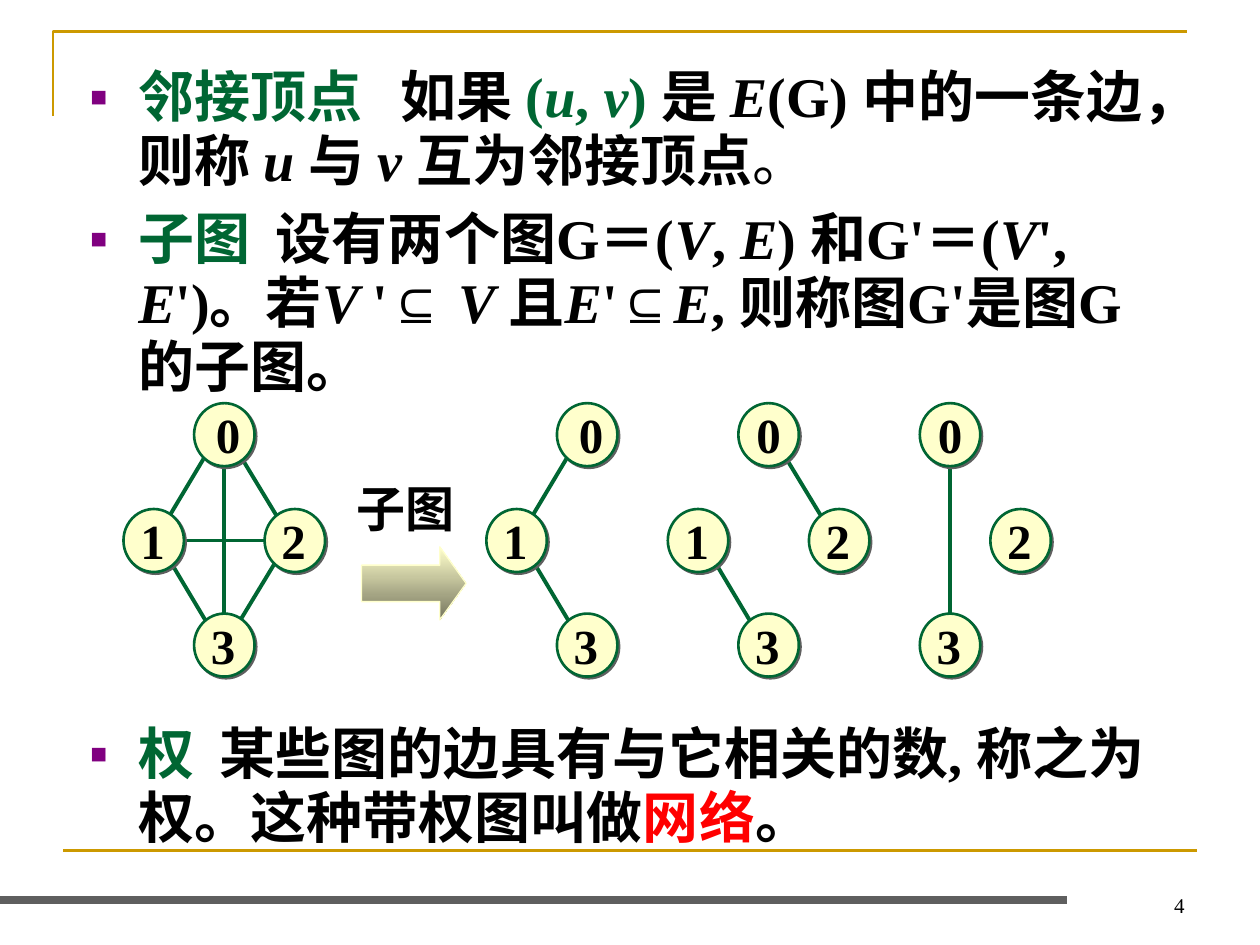
from typing import NamedTuple

import lxml.etree
import pptx
import pptx.dml.color
import pptx.enum.dml
import pptx.enum.shapes
import pptx.enum.text
import pptx.oxml.ns
import pptx.util

RGB = pptx.dml.color.RGBColor
GOLD = RGB(0xCC, 0x99, 0x00)
GRAY = RGB(0x5F, 0x5F, 0x5F)
GREEN = RGB(0x00, 0x66, 0x33)
CREAM = RGB(0xFF, 0xFF, 0xCC)
OLIVE = RGB(0x76, 0x76, 0x5E)
PURPLE = RGB(0x80, 0x00, 0x80)
RED = RGB(0xFF, 0x00, 0x00)
BLACK = RGB(0x00, 0x00, 0x00)

SERIF = "Times New Roman"
SANS = "Arial"
COLUMNS, ROWS = 100, 75
CELL = pptx.util.Inches(0.1)
MIDDLE_ROW = 42.9
FIRST_CENTER, CENTER_STEP = 17.8, 14.4
NODE_WIDTH, NODE_HEIGHT = 4.8, 5
LABEL_WIDTH, LABEL_HEIGHT = 3.9, 5.7
LABEL_SHIFT = -0.1

NODES = {0: (0, -8.4), 1: (-5.6, 0), 2: (5.6, 0), 3: (0, 8.3)}
EDGES = {
    (2, 3): (4.8, 0.5, 0.8, 7.1),
    (0, 1): (-0.8, -7.9, -4.8, -1.2),
    (1, 3): (-4.8, 0.8, -0.8, 7.5),
    (0, 2): (0.8, -7.5, 4.8, -0.9),
    (1, 2): (-4, 0, 4.8, 0),
    (0, 3): (0, -6.7, 0, 8),
}


class Span(NamedTuple):
    text: str
    color: RGB = BLACK
    italic: bool = False
    bold: bool = True
    font: str = SERIF


class Entry(NamedTuple):
    space_before: int
    spans: list[Span]


class Graph(NamedTuple):
    step: int
    nodes: list[int]
    edges: list[tuple[int, int]]
    zero_shift: float


def var(text: str, color: RGB = BLACK) -> Span:
    return Span(text, color, italic=True)


SUBSET = Span("⊆", font=SANS)
ENTRIES = [
    Entry(8, [
        Span("邻接顶点", GREEN), Span("   如果 "), Span("(", GREEN), var("u", GREEN),
        Span(", ", GREEN), var("v", GREEN), Span(") ", GREEN), Span("是 "), var("E"),
        Span("(G) 中的一条边，则称 "), var("u "), Span("与 "), var("v "),
        Span("互为邻接顶点"), Span("。", bold=False),
    ]),
    Entry(8, [
        Span("子图", GREEN), Span("  设有两个图G＝("), var("V"), Span(", "), var("E"),
        Span(") 和G'＝("), var("V"), Span("', "), var("E"), Span("')。若"), var("V "),
        Span("'"), SUBSET, var(" V "), Span("且"), var("E"), Span("'"), SUBSET,
        var("E"), Span(", 则称图G'是图G的子图。"),
    ]),
    Entry(185, [
        Span("权 ", GREEN), Span(" 某些图的边具有与它相关的数, 称之为权。这种带权图叫做"),
        Span("网络", RED), Span("。"),
    ]),
]
GRAPHS = [
    Graph(0, [1, 2, 0, 3], list(EDGES), 0.4),
    Graph(2, [1, 0, 3], [(0, 1), (1, 3)], 0.4),
    Graph(3, [1, 2, 0, 3], [(1, 3), (0, 2)], 0.1),
    Graph(4, [2, 0, 3], [(0, 3)], 0.1),
]


def cells(count: float) -> pptx.util.Emu:
    return pptx.util.Emu(round(count * CELL))


def add_xml(parent, tag: str, **attributes: str):
    return lxml.etree.SubElement(parent, pptx.oxml.ns.qn(tag), attributes)


def style_run(run, span: Span, size: float) -> None:
    run.font.size = pptx.util.Pt(size)
    run.font.name = span.font
    run.font.bold = span.bold
    run.font.italic = span.italic
    run.font.color.rgb = span.color


def draw_line(shapes, ends: tuple, color: RGB, width: float) -> None:
    line = shapes.add_connector(
        pptx.enum.shapes.MSO_CONNECTOR.STRAIGHT, *map(cells, ends))
    line.line.color.rgb = color
    line.line.width = pptx.util.Pt(width)
    add_xml(line._element.spPr, "a:effectLst")


def draw_label(shapes, span: Span, box: tuple, size: float, wrap: bool = True):
    frame = shapes.add_textbox(*map(cells, box)).text_frame
    frame.word_wrap = wrap
    frame.text = span.text
    style_run(frame.paragraphs[0].runs[0], span, size)
    return frame


def draw_corner(shapes) -> None:
    builder = shapes.build_freeform(cells(4.2), cells(9.2))
    builder.add_line_segments(
        [(cells(4.2), cells(2.5)), (cells(94.2), cells(2.5))], close=False)
    corner = builder.convert_to_shape()
    corner.fill.background()
    corner.line.color.rgb = GOLD
    corner.line.width = pptx.util.Pt(1.5)
    corner.shadow.inherit = False


def draw_entries(shapes) -> None:
    frame = shapes.add_textbox(*map(cells, (6.2, 4.8, 88.3, 66.7))).text_frame
    frame.word_wrap = True
    for index, entry in enumerate(ENTRIES):
        paragraph = frame.add_paragraph() if index else frame.paragraphs[0]
        paragraph.line_spacing = 0.95
        paragraph.space_before = pptx.util.Pt(entry.space_before)
        properties = paragraph._p.get_or_add_pPr()
        indent = cells(3.8)
        properties.set("marL", str(indent))
        properties.set("indent", str(-indent))
        add_xml(add_xml(properties, "a:buClr"), "a:srgbClr", val=str(PURPLE))
        add_xml(properties, "a:buSzPct", val="50000")
        add_xml(properties, "a:buFont", typeface=SANS)
        add_xml(properties, "a:buChar", char="■")
        for span in entry.spans:
            run = paragraph.add_run()
            run.text = span.text
            style_run(run, span, 32)


def draw_arrow(shapes) -> None:
    arrow = shapes.add_shape(
        pptx.enum.shapes.MSO_SHAPE.RIGHT_ARROW, *map(cells, (28.7, 43.4, 8.3, 5.8)))
    arrow.adjustments[0], arrow.adjustments[1] = 0.5, 0.36
    arrow.fill.gradient()
    arrow.fill.gradient_angle = 270
    for stop, position, color in zip(arrow.fill.gradient_stops, (0, 1), (CREAM, OLIVE)):
        stop.position = position
        stop.color.rgb = color
    arrow.line.color.rgb = CREAM
    arrow.line.width = pptx.util.Pt(0.75)
    arrow.shadow.inherit = False


def draw_node(shapes, x: float, y: float) -> None:
    node = shapes.add_shape(
        pptx.enum.shapes.MSO_SHAPE.OVAL,
        *map(cells, (x - NODE_WIDTH / 2, y - NODE_HEIGHT / 2, NODE_WIDTH, NODE_HEIGHT)))
    node.fill.solid()
    node.fill.fore_color.rgb = CREAM
    node.line.color.rgb = GREEN
    node.line.width = pptx.util.Pt(1.5)
    node.shadow.inherit = False
    effects = node._element.spPr.find(pptx.oxml.ns.qn("a:effectLst"))
    shadow = add_xml(effects, "a:outerShdw", dist=str(pptx.util.Pt(1.4)),
                     dir="2700000", algn="ctr", rotWithShape="0")
    add_xml(shadow, "a:srgbClr", val=str(GRAY))


def draw_graph(shapes, graph: Graph) -> None:
    members = shapes.add_group_shape().shapes
    center = FIRST_CENTER + graph.step * CENTER_STEP
    for edge in graph.edges:
        x1, y1, x2, y2 = EDGES[edge]
        draw_line(members, (center + x1, MIDDLE_ROW + y1, center + x2, MIDDLE_ROW + y2),
                  GREEN, 2.25)
    places = {n: (center + NODES[n][0], MIDDLE_ROW + NODES[n][1]) for n in graph.nodes}
    for x, y in places.values():
        draw_node(members, x, y)
    for number, (x, y) in sorted(places.items()):
        shift = LABEL_SHIFT + (graph.zero_shift if number == 0 else 0)
        box = (x - LABEL_WIDTH / 2 + shift, y - LABEL_HEIGHT / 2, LABEL_WIDTH, LABEL_HEIGHT)
        draw_label(members, Span(str(number)), box, 28, wrap=False)


def main() -> None:
    deck = pptx.Presentation()
    deck.slide_width, deck.slide_height = cells(COLUMNS), cells(ROWS)
    shapes = deck.slides.add_slide(deck.slide_layouts[6]).shapes
    draw_corner(shapes)
    draw_line(shapes, (5, 67.5, 95, 67.5), GOLD, 1.5)
    draw_line(shapes, (0, 71.4, 84.7, 71.4), GRAY, 4.5)
    page = draw_label(shapes, Span("4", bold=False), (71.7, 68.3, 23.3, 5), 12)
    page.vertical_anchor = pptx.enum.text.MSO_ANCHOR.BOTTOM
    page.paragraphs[0].alignment = pptx.enum.text.PP_ALIGN.RIGHT
    draw_entries(shapes)
    draw_arrow(shapes)
    draw_label(shapes, Span("子图"), (27.3, 37.5, 12, 5.7), 28)
    for graph in GRAPHS:
        draw_graph(shapes, graph)
    deck.save("out.pptx")


if __name__ == "__main__":
    main()
